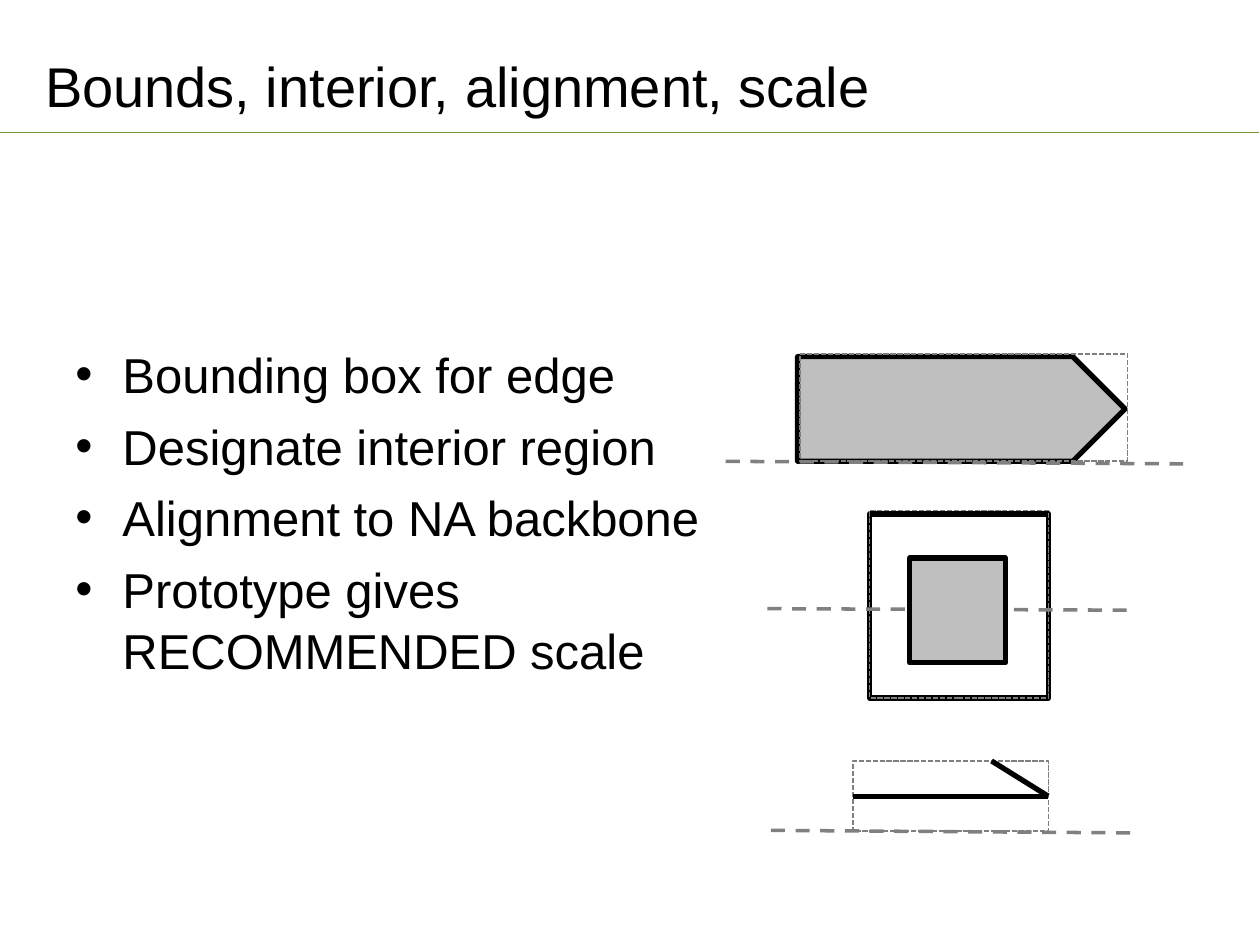
from pptx import Presentation
from pptx import util as u
from pptx.dml.color import RGBColor
from pptx.enum import dml, shapes, text
from pptx.oxml import parse_xml
from pptx.oxml.ns import nsdecls, qn
from lxml import etree

HUES = {"ink": "000000", "rule": "77933C", "fill": "BFBFBF",
        "axis": "808080", "bound": "7F7F7F"}
DASH = dml.MSO_LINE
KIND = shapes.MSO_SHAPE

deck = Presentation()
deck.slide_width, deck.slide_height = u.Cm(25.4), u.Cm(19.05)
page = deck.slides.add_slide(deck.slide_layouts[6])


def write(lines, box, size, mark=None, gap=0, lead=1, anchor=text.MSO_ANCHOR.TOP):
    frame = page.shapes.add_textbox(*map(u.Cm, box)).text_frame
    frame.word_wrap = True
    frame.vertical_anchor = anchor
    for i, line in enumerate(lines):
        para = frame.paragraphs[0] if i == 0 else frame.add_paragraph()
        para.text = line
        para.line_spacing = lead
        para.space_before = u.Pt(gap if i else 0)
        if mark:
            props = para._p.get_or_add_pPr()
            props.set("marL", str(u.Cm(0.95)))
            props.set("indent", str(-u.Cm(0.95)))
            props.append(parse_xml(f'<a:buFont {nsdecls("a")} typeface="Arial"/>'))
            props.append(parse_xml(f'<a:buChar {nsdecls("a")} char="{mark}"/>'))
        font = para.runs[0].font
        font.name, font.size = "Arial", u.Pt(size)
        font.color.rgb = RGBColor.from_string(HUES["ink"])


def draw(kind, box, hue, width, dash=None, fill=None, adjust=()):
    """Add a shape (left, top, width, height), or a line (x1, y1, x2, y2) if kind is None."""
    spots = map(u.Cm, box)
    if kind is None:
        item = page.shapes.add_connector(shapes.MSO_CONNECTOR.STRAIGHT, *spots)
        etree.SubElement(item._element.spPr, qn("a:effectLst"))
    else:
        item = page.shapes.add_shape(kind, *spots)
        item.shadow.inherit = False
        for i, value in enumerate(adjust):
            item.adjustments[i] = value
        if fill:
            item.fill.solid()
            item.fill.fore_color.rgb = RGBColor.from_string(HUES[fill])
        else:
            item.fill.background()
    item.line.color.rgb = RGBColor.from_string(HUES[hue])
    item.line.width = u.Pt(width)
    if dash:
        item.line.dash_style = dash


# Title and rule
draw(None, (0, 2.67, 25.37, 2.67), "rule", 1)
write(["Bounds, interior, alignment, scale"], (0.66, 0.76, 22.86, 1.9), 32,
      anchor=text.MSO_ANCHOR.MIDDLE)

# Bullets
write(["Bounding box for edge", "Designate interior region",
       "Alignment to NA backbone", "Prototype gives RECOMMENDED scale"],
      (1.27, 6.76, 13.94, 10.26), 28, mark="•", gap=5.6, lead=1.05)

# Glyphs: outline (box, fill, point), backbone, bounding box
glyphs = [
    (((16.08, 7.19, 6.6, 2.11), "fill", 0.5),
     (14.63, 9.3, 23.85, 9.35), (16.13, 7.14, 6.6, 2.16)),
    (((17.53, 10.36, 3.61, 3.71), None, 0),
     (15.47, 12.27, 22.71, 12.3), (17.53, 10.29, 3.61, 3.78)),
    (None, (15.54, 16.74, 22.81, 16.79), (17.2, 15.34, 3.94, 1.42)),
]
for outline, axis, bound in glyphs:
    if outline:
        box, fill, point = outline
        draw(KIND.RIGHT_ARROW, box, "ink", 3, fill=fill, adjust=(1, point))
    draw(None, axis, "axis", 2, DASH.DASH)
    draw(KIND.RECTANGLE, bound, "bound", 1, DASH.SQUARE_DOT)

# Inner square of the second glyph
draw(KIND.RIGHT_ARROW, (18.34, 11.25, 1.93, 2.11), "ink", 3, fill="fill", adjust=(1, 0))

# Half arrow of the third glyph
for start in ((17.2, 16.05), (19.99, 15.34)):
    draw(None, (*start, 21.13, 16.05), "ink", 3)

deck.save("out.pptx")
